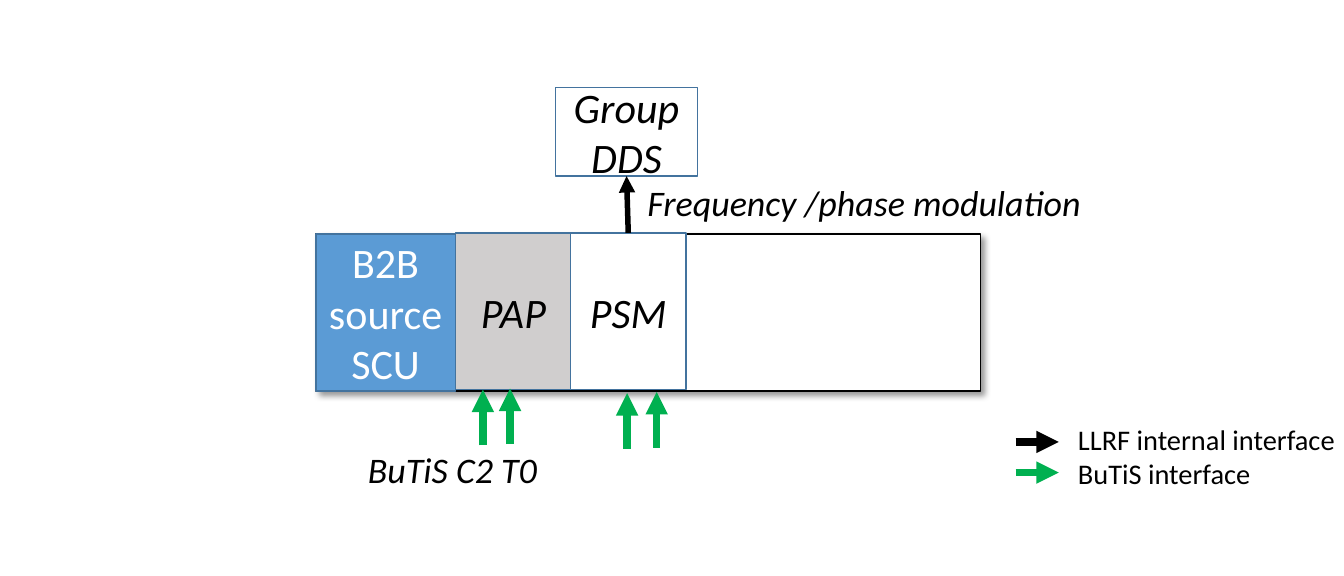
"""Draws the block diagram of the PAP and PSM modules with their interfaces."""
from lxml import etree
from pptx import Presentation, util as u
from pptx.dml.color import RGBColor
from pptx.enum import shapes, text
from pptx.oxml.ns import qn

PX = u.Inches(1) // 100
BLACK, WHITE, GREEN = "000000", "FFFFFF", "00B050"
BLUE, GREY, OUTLINE = "5B9BD5", "D0CECE", "43739E"


def paint(format_part, color):
    """Give a fill a solid colour from a hex string."""
    format_part.solid()
    format_part.fore_color.rgb = RGBColor.from_string(color)


class Diagram:
    """Holds the style and the current slide."""

    font = "Calibri"

    def __init__(self, width, height):
        """Open a blank slide of the given size."""
        self.deck = Presentation()
        self.deck.slide_width, self.deck.slide_height = width * PX, height * PX
        self.slide = self.deck.slides.add_slide(self.deck.slide_layouts[6])
        self.shapes = self.slide.shapes

    def start_group(self):
        """Place the elements that follow in a new group."""
        self.shapes = self.slide.shapes.add_group_shape().shapes

    def add_lines(self, frame, lines, size, color, italic, align):
        """Add one paragraph for each line."""
        frame.word_wrap = True
        for index, line in enumerate(lines):
            paragraph = frame.add_paragraph() if index else frame.paragraphs[0]
            paragraph.alignment = align
            run = paragraph.add_run()
            run.text = line
            run.font.name, run.font.size = self.font, u.Pt(size)
            run.font.italic = italic
            paint(run.font.fill, color)

    def box(self, place, fill, lines=(), color=BLACK, italic=True, outline=OUTLINE):
        """Add a rectangle with centred text."""
        rect = self.shapes.add_shape(
            shapes.MSO_SHAPE.RECTANGLE, *(v * PX for v in place))
        rect.shadow.inherit = False
        paint(rect.fill, fill)
        paint(rect.line.fill, outline)
        rect.line.width = u.Pt(1)
        rect.text_frame.vertical_anchor = text.MSO_ANCHOR.MIDDLE
        self.add_lines(rect.text_frame, lines, 26.6, color, italic, text.PP_ALIGN.CENTER)
        return rect

    def cast_shadow(self, rect):
        """Give a rectangle a soft shadow to the lower right."""
        effects = rect._element.spPr.find(qn("a:effectLst"))
        shadow = etree.SubElement(
            effects, qn("a:outerShdw"), blurRad=str(u.Pt(4)), dist=str(u.Pt(3)),
            dir="2700000", algn="tl", rotWithShape="0")
        black = etree.SubElement(shadow, qn("a:srgbClr"), val=BLACK)
        etree.SubElement(black, qn("a:alpha"), val="40000")

    def label(self, place, lines, size, italic=True):
        """Add a text box."""
        frame = self.shapes.add_textbox(*(v * PX for v in place)).text_frame
        self.add_lines(frame, lines, size, BLACK, italic, text.PP_ALIGN.LEFT)

    def arrow(self, start, end, color, width=4.75):
        """Add a straight arrow that points at its end."""
        link = self.shapes.add_connector(
            shapes.MSO_CONNECTOR.STRAIGHT, *(v * PX for v in (*start, *end)))
        paint(link.line.fill, color)
        link.line.width = u.Pt(width)
        properties = link._element.spPr
        etree.SubElement(properties.find(qn("a:ln")), qn("a:tailEnd"), type="triangle")
        etree.SubElement(properties, qn("a:effectLst"))
        return link


def main():
    """Build the slide and save it."""
    diagram = Diagram(1183, 507)

    crate = diagram.box((278, 206, 585, 138), WHITE, outline=BLACK)
    diagram.cast_shadow(crate)
    diagram.box((278, 206, 123, 138), BLUE, ["B2B", "source SCU"], WHITE, False)
    diagram.box((401, 205, 102, 138), GREY, ["PAP"])
    psm = diagram.box((502, 205, 102, 138), WHITE, ["PSM"])
    group_dds = diagram.box((489, 77, 125, 78), WHITE, ["Group DDS"])

    for x, tip in ((425, 343), (449, 342), (552, 346), (578, 345)):
        diagram.arrow((x, tip + 49), (x, tip), GREEN)
    modulation = diagram.arrow((552, 205), (552, 155), BLACK, 3.5)
    modulation.begin_connect(psm, 0)
    modulation.end_connect(group_dds, 2)

    diagram.label((314, 389, 345, 48), ["BuTiS C2 T0"], 22.8)
    diagram.label((560, 154, 448, 48), ["Frequency /phase modulation"], 22.8)

    diagram.start_group()
    for y, color in ((416, GREEN), (389, BLACK)):
        diagram.arrow((894, y), (932, y), color)
    diagram.label((939, 367, 250, 70),
                  ["LLRF internal interface", "BuTiS interface"], 18, False)

    diagram.deck.save("out.pptx")


if __name__ == "__main__":
    main()
